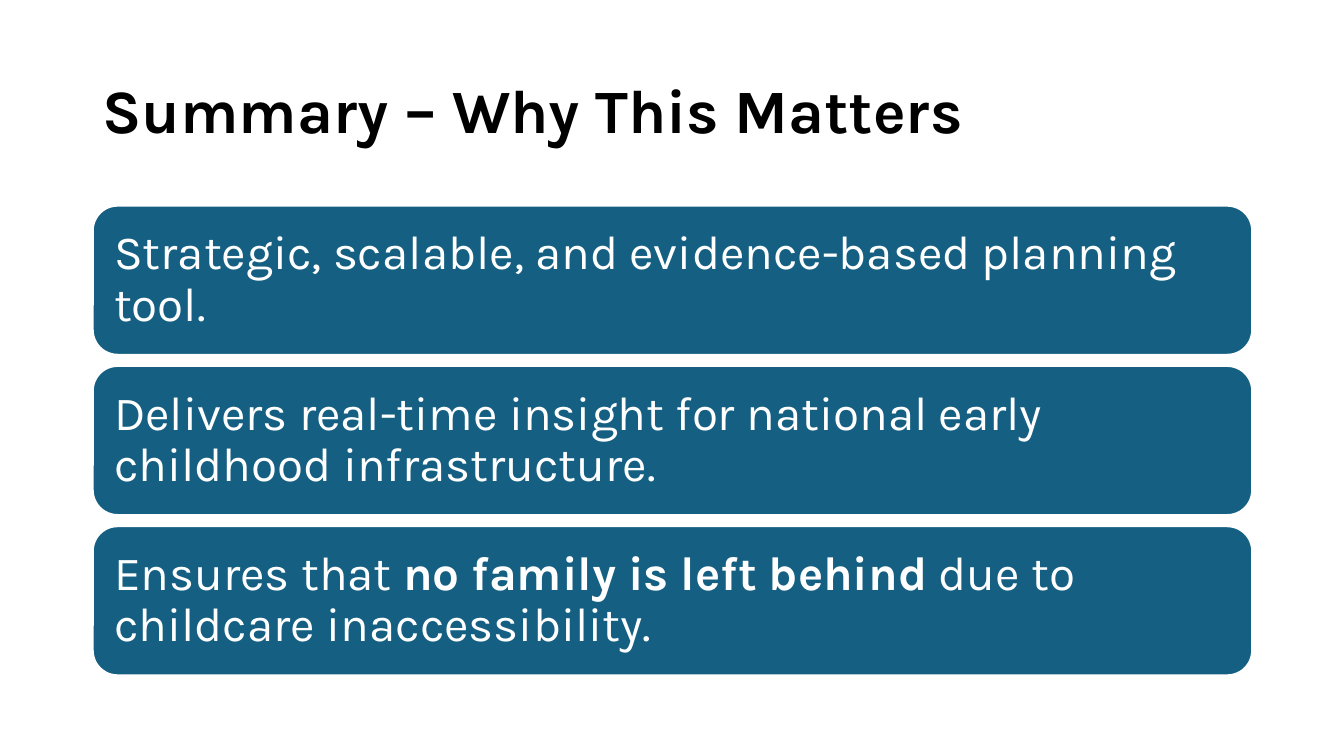
"""Build the summary slide with its three key messages."""
from pptx import Presentation
from pptx.dml.color import RGBColor
from pptx.enum.shapes import MSO_SHAPE as SHAPE
from pptx.enum.text import MSO_ANCHOR as ANCHOR, PP_ALIGN as ALIGN
from pptx.util import Inches, Pt


def rgb(value):
    return RGBColor.from_string(value)


class SummarySlide:
    font = "Karla"
    dark, light, accent = "000000", "FFFFFF", "156082"
    left, width = 0.92, 11.5

    def __init__(self, prs):
        self.s = prs.slides.add_slide(prs.slide_layouts[6])

    def set_text(self, tf, runs, size, color, bold=None):
        tf.word_wrap = True
        tf.vertical_anchor = ANCHOR.MIDDLE
        p = tf.paragraphs[0]
        p.alignment = ALIGN.LEFT
        p.line_spacing = 0.9
        p.font.name = self.font
        p.font.size = Pt(size)
        p.font.color.rgb = rgb(color)
        p.font.bold = bold
        for text, strong in runs:
            r = p.add_run()
            r.text = text
            if strong:
                r.font.bold = True

    def title(self, text, top, height):
        box = self.s.shapes.add_textbox(
            Inches(self.left), Inches(top), Inches(self.width), Inches(height))
        self.set_text(box.text_frame, [(text, False)], 44, self.dark, bold=True)

    def card(self, runs, top, height):
        sp = self.s.shapes.add_shape(
            SHAPE.ROUNDED_RECTANGLE, Inches(self.left), Inches(top),
            Inches(self.width), Inches(height))
        sp.shadow.inherit = False
        sp.fill.solid()
        sp.fill.fore_color.rgb = rgb(self.accent)
        sp.line.color.rgb = rgb(self.light)
        sp.line.width = Pt(1.5)
        tf = sp.text_frame
        tf.margin_left = tf.margin_right = Inches(0.14)
        tf.margin_top = tf.margin_bottom = Inches(0.14)
        self.set_text(tf, runs, 34, self.light)


def main():
    prs = Presentation()
    prs.slide_width, prs.slide_height = Inches(13.33), Inches(7.5)
    slide = SummarySlide(prs)
    slide.title("Summary – Why This Matters", 0.4, 1.45)
    messages = [
        [("Strategic, scalable, and evidence-based planning tool.", False)],
        [("Delivers real-time insight for national early childhood "
          "infrastructure.", False)],
        [("Ensures that ", False), ("no family is left behind", True),
         (" due to childcare inaccessibility.", False)],
    ]
    top, height, gap = 2.04, 1.48, 0.11
    for i, runs in enumerate(messages):
        slide.card(runs, top + i * (height + gap), height)
    prs.save("out.pptx")


if __name__ == "__main__":
    main()
